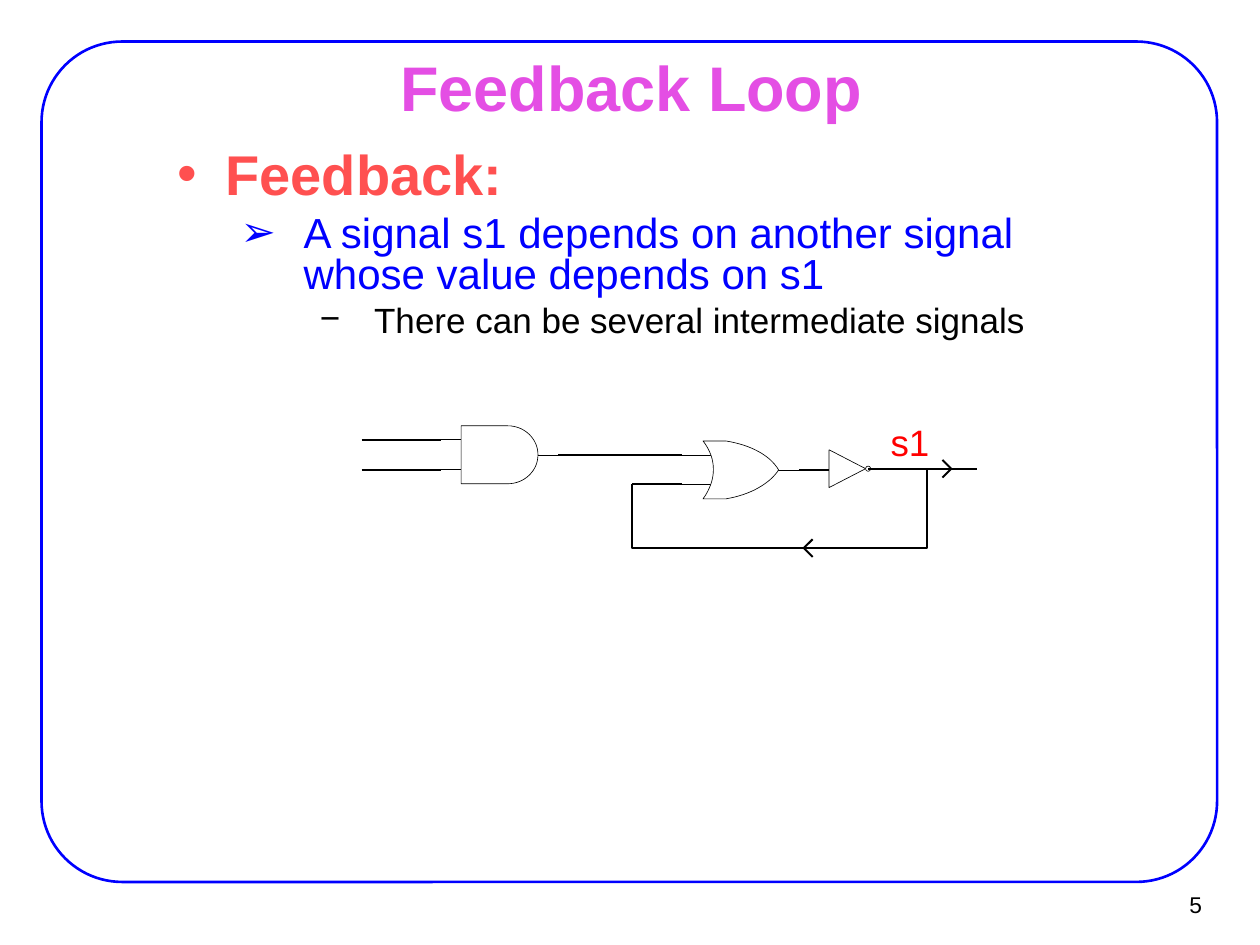
from lxml import etree
from pptx import Presentation
from pptx.dml.color import RGBColor
from pptx.enum.shapes import MSO_CONNECTOR, MSO_SHAPE
from pptx.enum.text import MSO_ANCHOR, PP_ALIGN
from pptx.oxml.ns import qn
from pptx.util import Inches, Pt

STRAIGHT = MSO_CONNECTOR.STRAIGHT
ROUNDED, OVAL = MSO_SHAPE.ROUNDED_RECTANGLE, MSO_SHAPE.OVAL
TOP, MIDDLE = MSO_ANCHOR.TOP, MSO_ANCHOR.MIDDLE
LEFT, CENTER, RIGHT = PP_ALIGN.LEFT, PP_ALIGN.CENTER, PP_ALIGN.RIGHT

BLACK = RGBColor(0, 0, 0)
WHITE = RGBColor(255, 255, 255)
BLUE = RGBColor(0, 0, 255)
RED = RGBColor(255, 0, 0)
CORAL = RGBColor(0xFF, 0x50, 0x50)
PINK = RGBColor(0xE4, 0x4E, 0xE4)

FONT = "Arial"
THIN, THICK = 0.37, 1.13
CURVE_STEPS = 16

# Level, text, size, colour, bold, bullet, left margin, hanging indent, space before
BODY = [
    (0, "Feedback:", 32, CORAL, True, "•", 0.38, 0.38, 8),
    (1, "A signal s1 depends on another signal whose value depends on s1",
     24, BLUE, False, "➢", 1, 0.5, 6),
    (2, "There can be several intermediate signals",
     20, BLACK, False, "−", 1.56, 0.43, 5),
]


def style_font(para, size, color, bold=False):
    font = para.font
    font.name, font.size, font.bold = FONT, Pt(size), bold
    font.color.rgb = color


def add_box(slide, left, top, width, height, insets, anchor=TOP, wrap=True):
    box = slide.shapes.add_textbox(
        Inches(left), Inches(top), Inches(width), Inches(height))
    frame = box.text_frame
    frame.word_wrap = wrap
    frame.vertical_anchor = anchor
    frame.margin_left = frame.margin_right = Inches(insets[0])
    frame.margin_top = frame.margin_bottom = Inches(insets[1])
    return frame


def add_label(frame, text, size, color, bold=False, align=LEFT):
    para = frame.paragraphs[0]
    para.text = text
    para.alignment = align
    style_font(para, size, color, bold)


def set_bullet(para, char, color, margin, hanging):
    props = para._p.get_or_add_pPr()
    props.set("marL", str(Inches(margin)))
    props.set("indent", str(-Inches(hanging)))
    bullet_color = etree.SubElement(props, qn("a:buClr"))
    etree.SubElement(bullet_color, qn("a:srgbClr"), val=str(color))
    etree.SubElement(props, qn("a:buFont"), typeface=FONT)
    etree.SubElement(props, qn("a:buChar"), char=char)


def add_body(slide):
    frame = add_box(slide, 1.3, 1.15, 7.8, 1.65, (0.11, 0.06))
    for index, item in enumerate(BODY):
        level, text, size, color, bold, bullet, margin, hanging, before = item
        para = frame.paragraphs[0] if index == 0 else frame.add_paragraph()
        para.text = text
        para.level = level
        para.line_spacing = 0.8
        para.space_before = Pt(before)
        set_bullet(para, bullet, color, margin, hanging)
        style_font(para, size, color, bold)


def style_shape(shape, fill, color, width):
    shape.shadow.inherit = False
    if fill is None:
        shape.fill.background()
    else:
        shape.fill.solid()
        shape.fill.fore_color.rgb = fill
    shape.line.color.rgb = color
    shape.line.width = Pt(width)


def add_preset(slide, kind, left, top, width, height, fill, color, line_width):
    shape = slide.shapes.add_shape(
        kind, Inches(left), Inches(top), Inches(width), Inches(height))
    style_shape(shape, fill, color, line_width)
    return shape


def add_wire(slide, start, end, width=THICK):
    wire = slide.shapes.add_connector(
        STRAIGHT, *(Inches(value) for value in start + end))
    wire.line.color.rgb = BLACK
    wire.line.width = Pt(width)
    etree.SubElement(wire._element.spPr, qn("a:effectLst"))


def add_outline(slide, points, fill=None, width=THICK, close=False):
    corners = [(Inches(x), Inches(y)) for x, y in points]
    builder = slide.shapes.build_freeform(*corners[0], scale=1.0)
    builder.add_line_segments(corners[1:], close=close)
    style_shape(builder.convert_to_shape(), fill, BLACK, width)


def curve(*controls):
    """Points along a cubic Bezier curve."""
    points = []
    for step in range(CURVE_STEPS + 1):
        t = step / CURVE_STEPS
        weights = ((1 - t) ** 3, 3 * t * (1 - t) ** 2, 3 * t * t * (1 - t), t ** 3)
        points.append(tuple(
            sum(weight * control[axis] for weight, control in zip(weights, controls))
            for axis in (0, 1)))
    return points


def add_gate(slide, left, top, points):
    """Draws a closed gate body from points relative to its top left corner."""
    placed = [(left + x, top + y) for x, y in points]
    add_outline(slide, placed, WHITE, THIN, close=True)


def add_leads(slide, left, top):
    """Draws two thin input leads and one output lead behind a gate."""
    for lead in (0, 0.235):
        add_wire(slide, (left, top + lead), (left + 0.47, top + lead), THIN)
    add_wire(slide, (left + 0.47, top + 0.12), (left + 0.93, top + 0.12), THIN)


def add_circuit(slide):
    # AND gate
    add_leads(slide, 3.5, 3.49)
    and_points = (
        [(0, 0.46), (0, 0)]
        + curve((0.37, 0), (0.5, 0), (0.61, 0.1), (0.61, 0.23))
        + curve((0.61, 0.23), (0.61, 0.36), (0.5, 0.46), (0.37, 0.46)))
    add_gate(slide, 3.66, 3.38, and_points)
    for y in (3.49, 3.73):
        add_wire(slide, (2.87, y), (3.5, y))
    add_wire(slide, (4.43, 3.61), (5.41, 3.61))

    # OR gate
    add_leads(slide, 5.41, 3.61)
    or_points = (
        curve((0.6, 0.23), (0.53, 0.34), (0.37, 0.43), (0.18, 0.46))
        + curve((0, 0.46), (0.11, 0.31), (0.11, 0.14), (0, 0))
        + curve((0.18, 0), (0.37, 0.03), (0.53, 0.11), (0.6, 0.23)))
    add_gate(slide, 5.58, 3.5, or_points)
    add_wire(slide, (6.34, 3.73), (6.58, 3.73))

    # Inverter
    add_gate(slide, 6.58, 3.57, [(0, 0), (0.29, 0.15), (0, 0.3)])
    add_preset(slide, OVAL, 6.87, 3.7, 0.04, 0.04, WHITE, BLACK, THIN)

    # Output and feedback path
    add_wire(slide, (6.89, 3.72), (7.75, 3.72))
    add_outline(slide, [(7.36, 3.72), (7.36, 4.35), (5.02, 4.35), (5.02, 3.84)])
    add_wire(slide, (5.02, 3.84), (5.41, 3.84))

    # Direction marks: tip and the way each one points
    for x, y, way in ((7.55, 3.72, 1), (6.38, 4.35, -1)):
        back = x - 0.07 * way
        add_outline(slide, [(back, y - 0.07), (x, y), (back, y + 0.07)])

    add_label(add_box(slide, 6.97, 3.28, 0.71, 0.45, (0.1, 0.05)), "s1", 21, RED)


def main():
    deck = Presentation()
    deck.slide_width, deck.slide_height = Inches(10), Inches(7.5)
    slide = deck.slides.add_slide(deck.slide_layouts[6])

    # Frame and page number
    frame = add_preset(slide, ROUNDED, 0.33, 0.33, 9.33, 6.67, None, BLUE, 1.5)
    frame.adjustments[0] = 0.096
    number = add_box(slide, 9.02, 6.99, 0.61, 0.37, (0.09, 0.04), MIDDLE, wrap=False)
    add_label(number, "5", 13, BLACK, align=RIGHT)

    # Title and text
    title = add_box(slide, 0.76, 0.44, 8.5, 0.49, (0.11, 0.06), MIDDLE)
    add_label(title, "Feedback Loop", 36, PINK, bold=True, align=CENTER)
    add_body(slide)

    add_circuit(slide)
    deck.save("out.pptx")


if __name__ == "__main__":
    main()
